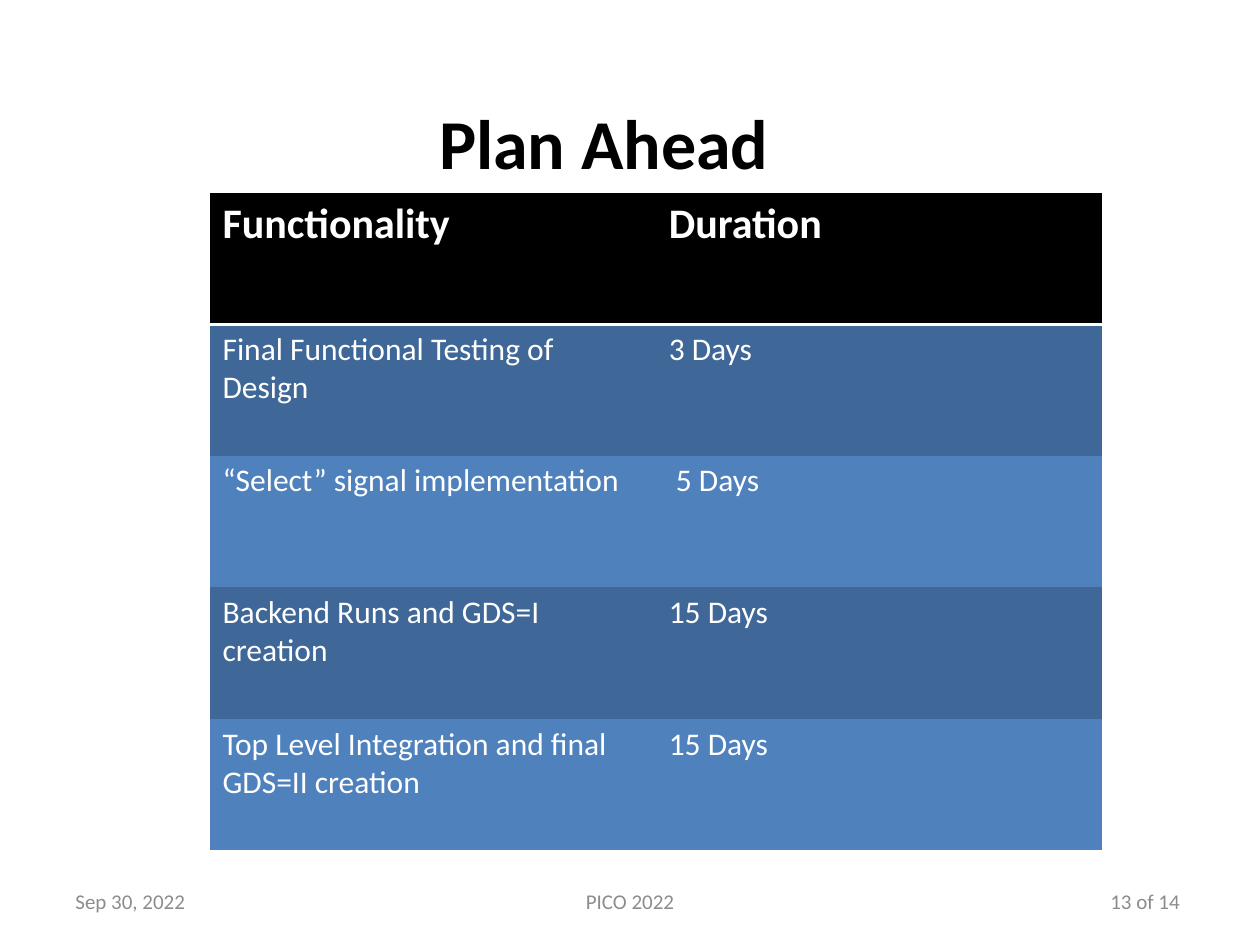
from dataclasses import dataclass

from lxml import etree
from pptx import Presentation
from pptx.dml.color import RGBColor
from pptx.enum.text import MSO_ANCHOR, PP_ALIGN
from pptx.oxml.ns import qn
from pptx.util import Pt

LEFT, CENTER, RIGHT = PP_ALIGN.LEFT, PP_ALIGN.CENTER, PP_ALIGN.RIGHT
MIDDLE = MSO_ANCHOR.MIDDLE
PLAIN_TABLE_STYLE = "{2D5ABB26-0587-4C30-8999-92F81FD0307C}"


@dataclass(frozen=True)
class Theme:
    font: str = "Calibri"
    black: str = "000000"
    white: str = "FFFFFF"
    grey: str = "8C8C8C"
    bands: tuple = ("3F6797", "4F81BD")
    title_size: int = 40
    header_size: int = 24
    body_size: int = 18
    footer_size: int = 12


@dataclass(frozen=True)
class Label:
    text: str
    left: float
    top: float
    width: float
    height: float
    size: int
    color: str
    align: PP_ALIGN = LEFT
    bold: bool = False


THEME = Theme()
FOOTER = {"top": 500.4, "height": 28.8, "size": THEME.footer_size, "color": THEME.grey}
LABELS = [
    Label("Plan Ahead", 102, 60, 486, 42, THEME.title_size, THEME.black, CENTER, True),
    Label("Sep 30, 2022", left=36, width=168, **FOOTER),
    Label("PICO 2022", left=246, width=228, align=CENTER, **FOOTER),
    Label("13 of 14 ", left=516, width=168, align=RIGHT, **FOOTER),
]
PLAN = [
    ("Functionality", "Duration"),
    ("Final Functional Testing of Design", "3 Days"),
    ("“Select” signal implementation", " 5 Days"),
    ("Backend Runs and GDS=I creation", "15 Days"),
    ("Top Level Integration and final GDS=II creation", "15 Days"),
]
COL_WIDTH, ROW_HEIGHT = 255, 75.2


def set_text(tf, text: str, size: int, color: str, bold: bool, align: PP_ALIGN = LEFT) -> None:
    tf.text = text
    tf.word_wrap = True
    p = tf.paragraphs[0]
    p.alignment = align
    font = p.runs[0].font
    font.name, font.size, font.bold = THEME.font, Pt(size), bold
    font.color.rgb = RGBColor.from_string(color)


def add_label(s, label: Label) -> None:
    sp = s.shapes.add_textbox(Pt(label.left), Pt(label.top), Pt(label.width), Pt(label.height))
    tf = sp.text_frame
    set_text(tf, label.text, label.size, label.color, label.bold, label.align)
    tf.vertical_anchor = MIDDLE


def add_bottom_border(cell, color: str, width: float) -> None:
    ln = etree.Element(qn("a:lnB"), w=str(Pt(width)))
    fill = etree.SubElement(ln, qn("a:solidFill"))
    etree.SubElement(fill, qn("a:srgbClr"), val=color)
    cell._tc.get_or_add_tcPr().insert(0, ln)


def add_plan_table(s, left: float, top: float) -> None:
    rows, cols = len(PLAN), len(PLAN[0])
    frame = s.shapes.add_table(rows, cols, Pt(left), Pt(top),
                               Pt(cols * COL_WIDTH), Pt(rows * ROW_HEIGHT))
    table = frame.table
    table.first_row = table.horz_banding = False
    table._tbl.tblPr.find(qn("a:tableStyleId")).text = PLAIN_TABLE_STYLE
    for col in table.columns:
        col.width = Pt(COL_WIDTH)
    for i, texts in enumerate(PLAN):
        table.rows[i].height = Pt(ROW_HEIGHT)
        header = i == 0
        size = THEME.header_size if header else THEME.body_size
        color = THEME.black if header else THEME.bands[(i - 1) % 2]
        for j, text in enumerate(texts):
            cell = table.cell(i, j)
            set_text(cell.text_frame, text, size, THEME.white, header)
            cell.fill.solid()
            cell.fill.fore_color.rgb = RGBColor.from_string(color)
            if header:
                add_bottom_border(cell, THEME.white, 2)


def main() -> None:
    prs = Presentation()
    prs.slide_width, prs.slide_height = Pt(720), Pt(540)
    s = prs.slides.add_slide(prs.slide_layouts[6])

    # Title and footer
    for label in LABELS:
        add_label(s, label)

    # Schedule
    add_plan_table(s, 120, 110)

    prs.save("out.pptx")


if __name__ == "__main__":
    main()
